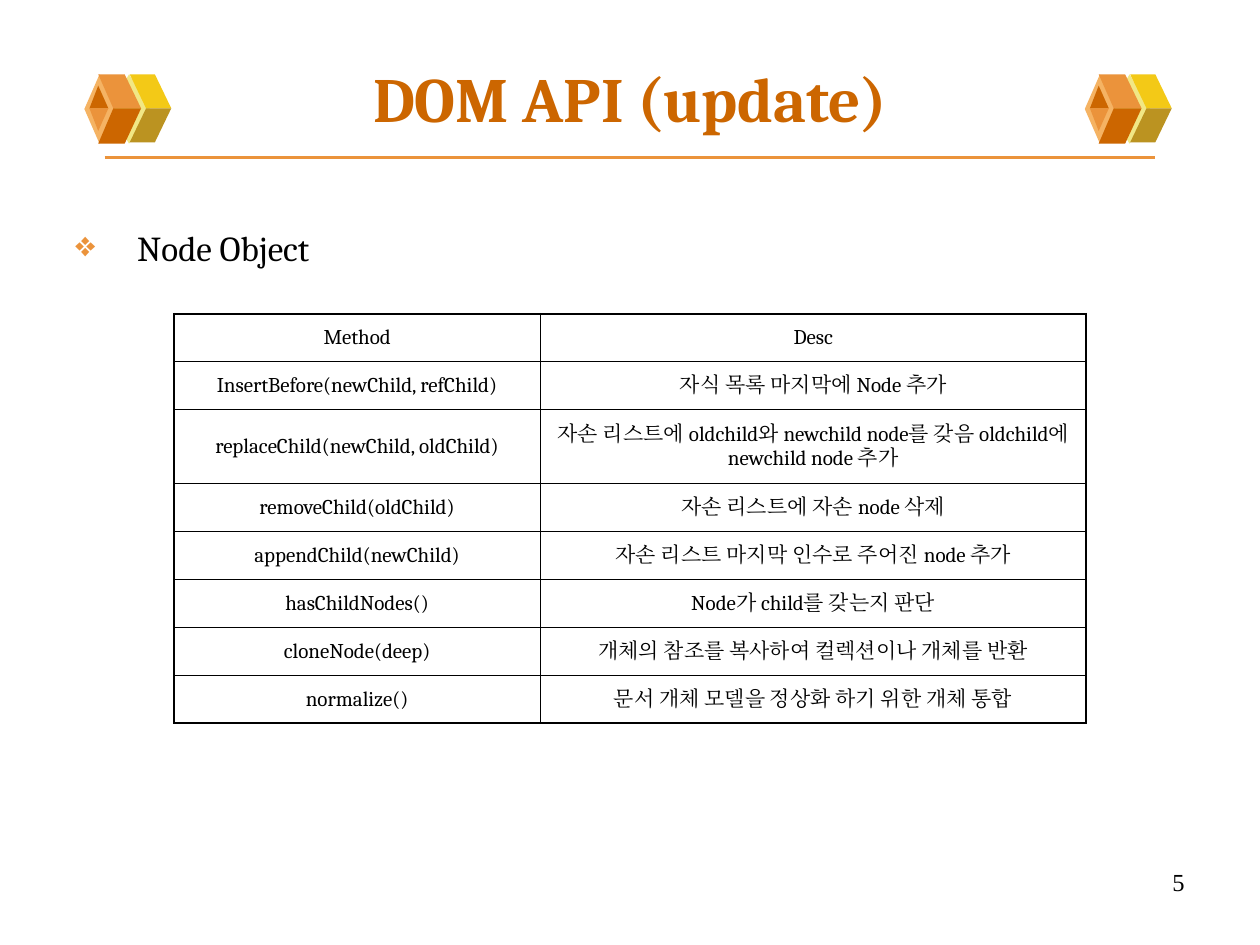
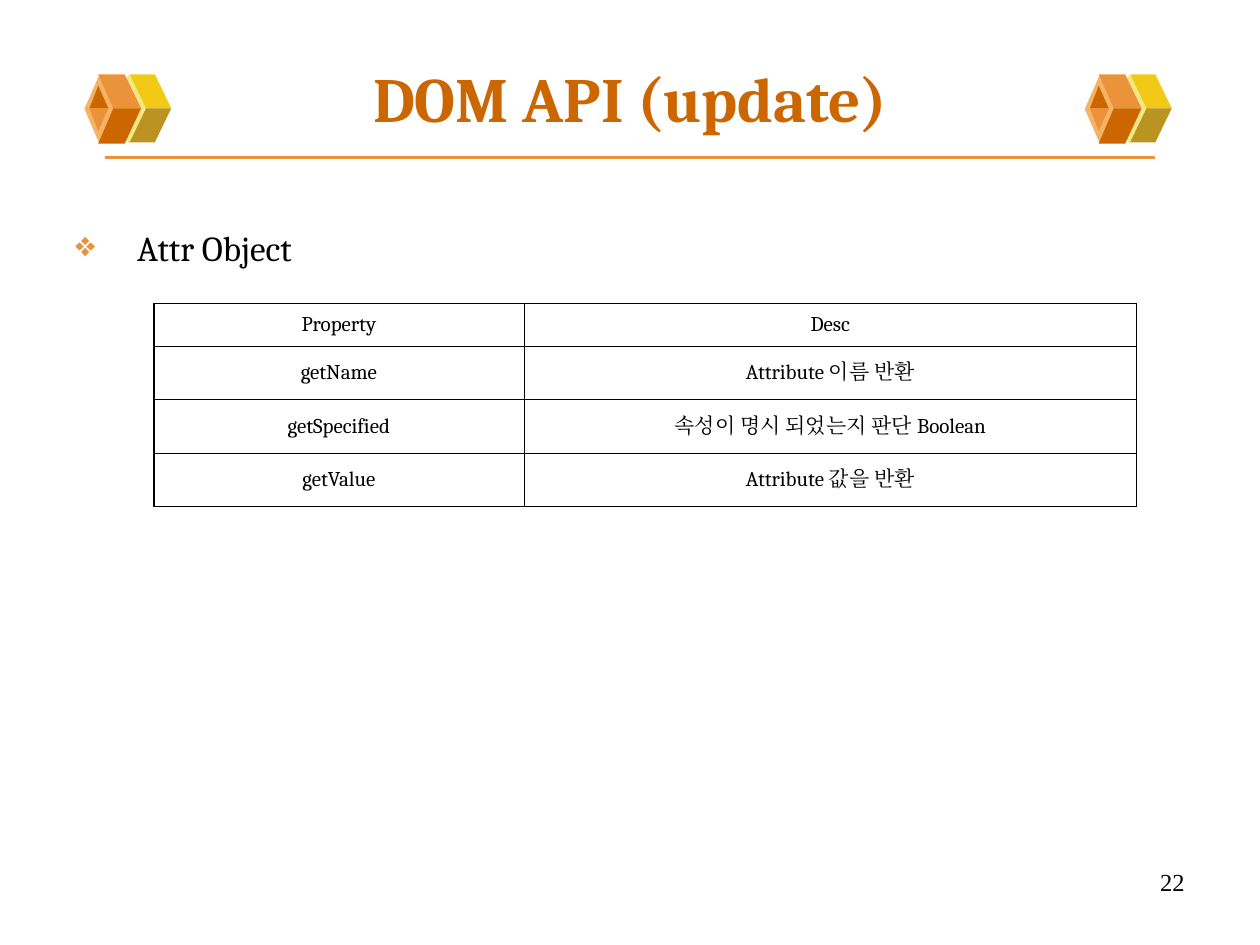
from dataclasses import dataclass
from typing import NamedTuple

from lxml.etree import SubElement
from pptx import Presentation
from pptx.dml.color import RGBColor
from pptx.enum.shapes import MSO_CONNECTOR, MSO_SHAPE
from pptx.enum.text import MSO_ANCHOR, PP_ALIGN
from pptx.oxml import parse_xml
from pptx.oxml.ns import nsdecls, qn
from pptx.slide import Slide
from pptx.util import Inches, Pt


@dataclass(frozen=True)
class Theme:
    white: str = "FFFFFF"
    off_white: str = "FEFEFE"
    ink: str = "000000"
    rust: str = "CC6600"
    orange: str = "EB933B"
    peach: str = "F5B363"
    cream: str = "F1E785"
    yellow: str = "F3C917"
    olive: str = "BB9321"
    serif: str = "Cambria"
    number_font: str = "Times New Roman"
    title_size: float = 36
    heading_size: float = 20
    number_size: float = 14
    cell_size: float = 12
    rule_width: float = 2.25
    outer_border: float = 1.08
    inner_border: float = 0.45


THEME = Theme()


class Box(NamedTuple):
    left: float
    top: float
    width: float
    height: float

    def lengths(self) -> list[int]:
        return [Inches(side) for side in self]


class TextStyle(NamedTuple):
    size: float
    font: str = THEME.serif
    color: str = THEME.ink
    bold: bool = False
    align: PP_ALIGN = PP_ALIGN.LEFT
    anchor: MSO_ANCHOR = MSO_ANCHOR.TOP
    space_before: float = 0


class Facet(NamedTuple):
    """One flat side of a cube; points are measured from the cube's corner."""
    color: str
    points: list[tuple[float, float]]


class MethodTable(NamedTuple):
    left: float
    top: float
    columns: list[float]
    row_heights: list[float]
    rows: list[tuple[str, str]]


class ApiPage(NamedTuple):
    heading: str
    number: str
    table: MethodTable


TITLE = TextStyle(THEME.title_size, color=THEME.rust, bold=True,
                  align=PP_ALIGN.CENTER, anchor=MSO_ANCHOR.MIDDLE)
HEADING = TextStyle(THEME.heading_size, space_before=5)
CELL = TextStyle(THEME.cell_size, align=PP_ALIGN.CENTER,
                 anchor=MSO_ANCHOR.MIDDLE, space_before=3)
PAGE_NUMBER = TextStyle(THEME.number_size, THEME.number_font, align=PP_ALIGN.RIGHT)

TITLE_BOX = Box(0.5, 0.3, 9, 0.95)
BODY_BOX = Box(0.5, 1.75, 8.99, 4.95)
NUMBER_BOX = Box(7.17, 6.83, 2.33, 0.3)
HEADING_INDENT = 0.49

# Cube ornament: a right block and a left block, each a diamond with facets
CUBE_TOP = 0.59
CUBE_LEFTS = (0.67, 8.61)
RIGHT_BLOCK = (Box(0.19, 0, 0.33, 0.55), THEME.cream, [
    Facet(THEME.yellow, [(0.49, 0.27), (0.69, 0.27), (0.56, 0), (0.36, 0)]),
    Facet(THEME.olive, [(0.49, 0.27), (0.69, 0.27), (0.56, 0.54), (0.36, 0.54)]),
])
LEFT_BLOCK = (Box(0, 0, 0.24, 0.55), THEME.peach, [
    Facet(THEME.orange, [(0.23, 0.27), (0.45, 0.27), (0.32, 0), (0.11, 0)]),
    Facet(THEME.rust, [(0.23, 0.27), (0.45, 0.27), (0.32, 0.55), (0.11, 0.55)]),
    Facet(THEME.rust, [(0.11, 0.09), (0.04, 0.27), (0.19, 0.27)]),
    Facet(THEME.orange, [(0.11, 0.45), (0.04, 0.27), (0.19, 0.27)]),
])

PAGES = [
    ApiPage("Node Object", "5", MethodTable(
        1.38, 2.49, [2.91, 4.33], [0.38, 0.38, 0.59] + [0.38] * 5, [
            ("Method", "Desc"),
            ("InsertBefore(newChild, refChild)", "자식 목록 마지막에 Node 추가"),
            ("replaceChild(newChild, oldChild)",
             "자손 리스트에 oldchild와 newchild node를 갖음 oldchild에 newchild node 추가"),
            ("removeChild(oldChild)", "자손 리스트에 자손 node 삭제"),
            ("appendChild(newChild)", "자손 리스트 마지막 인수로 주어진 node 추가"),
            ("hasChildNodes()", "Node가 child를 갖는지 판단"),
            ("cloneNode(deep)", "개체의 참조를 복사하여 컬렉션이나 개체를 반환"),
            ("normalize()", "문서 개체 모델을 정상화 하기 위한 개체 통합"),
        ])),
    ApiPage("Attr Object", "22", MethodTable(
        1.22, 2.41, [2.94, 4.86], [0.34, 0.42, 0.43, 0.42], [
            ("Property", "Desc"),
            ("getName", "Attribute 이름 반환"),
            ("getSpecified", "속성이 명시 되었는지 판단 Boolean"),
            ("getValue", "Attribute 값을 반환"),
        ])),
]


def rgb(color: str) -> RGBColor:
    return RGBColor.from_string(color)


def write(frame, text: str, style: TextStyle):
    """Put one styled paragraph into a text frame and return it."""
    paragraph = frame.paragraphs[0]
    paragraph.alignment = style.align
    paragraph.space_before = Pt(style.space_before)
    run = paragraph.add_run()
    run.text = text
    formats = {"size": Pt(style.size), "bold": style.bold, "name": style.font}
    for attribute, value in formats.items():
        setattr(run.font, attribute, value)
    run.font.color.rgb = rgb(style.color)
    SubElement(run.font._element, qn("a:ea"), typeface=style.font)
    return paragraph


def add_text(slide: Slide, box: Box, text: str, style: TextStyle):
    frame = slide.shapes.add_textbox(*box.lengths()).text_frame
    formats = {"word_wrap": True, "vertical_anchor": style.anchor}
    for attribute, value in formats.items():
        setattr(frame, attribute, value)
    return write(frame, text, style)


def paint(shape, color: str) -> None:
    shape.shadow.inherit = False
    shape.fill.solid()
    shape.fill.fore_color.rgb = rgb(color)
    shape.line.fill.background()


def add_cube(slide: Slide, left: float) -> None:
    for diamond, color, facets in (RIGHT_BLOCK, LEFT_BLOCK):
        place = diamond._replace(left=left + diamond.left, top=CUBE_TOP + diamond.top)
        paint(slide.shapes.add_shape(MSO_SHAPE.DIAMOND, *place.lengths()), color)
        for facet in facets:
            start, *others = [(Inches(left + x), Inches(CUBE_TOP + y))
                              for x, y in facet.points]
            outline = slide.shapes.build_freeform(*start)
            outline.add_line_segments(others, close=True)
            paint(outline.convert_to_shape(), facet.color)


def add_frame(slide: Slide) -> None:
    """Background, title rule, cubes and title shared by all pages."""
    fill = slide.background.fill
    fill.gradient()
    fill.gradient_angle = 270
    for stop, color in zip(fill.gradient_stops, (THEME.white, THEME.off_white)):
        stop.color.rgb = rgb(color)
    rule = slide.shapes.add_connector(MSO_CONNECTOR.STRAIGHT, Inches(0.83),
                                      Inches(1.25), Inches(9.17), Inches(1.25))
    rule.line.width = Pt(THEME.rule_width)
    rule.line.color.rgb = rgb(THEME.orange)
    SubElement(rule._element.spPr, qn("a:effectLst"))
    for left in CUBE_LEFTS:
        add_cube(slide, left)
    add_text(slide, TITLE_BOX, "DOM API (update)", TITLE)


def add_heading(slide: Slide, text: str) -> None:
    properties = add_text(slide, BODY_BOX, text, HEADING)._p.get_or_add_pPr()
    properties.set("marL", str(Inches(HEADING_INDENT)))
    properties.set("indent", str(-Inches(HEADING_INDENT)))
    bullet_color = SubElement(properties, qn("a:buClr"))
    SubElement(bullet_color, qn("a:srgbClr"), val=THEME.orange)
    SubElement(properties, qn("a:buChar"), char="❖")


def add_borders(cell, outer_sides: dict[str, bool]) -> None:
    for index, (side, is_outer) in enumerate(outer_sides.items()):
        width = Pt(THEME.outer_border if is_outer else THEME.inner_border)
        cell._tc.get_or_add_tcPr().insert(index, parse_xml(
            f'<a:ln{side} {nsdecls("a")} w="{width}"><a:solidFill>'
            f'<a:srgbClr val="{THEME.ink}"/></a:solidFill></a:ln{side}>'))


def add_method_table(slide: Slide, content: MethodTable) -> None:
    box = Box(content.left, content.top, sum(content.columns), sum(content.row_heights))
    last_row, last_column = len(content.rows) - 1, len(content.columns) - 1
    table = slide.shapes.add_table(last_row + 1, last_column + 1, *box.lengths()).table
    table.first_row = table.horz_banding = False
    for column, width in zip(table.columns, content.columns):
        column.width = Inches(width)
    for row, height in zip(table.rows, content.row_heights):
        row.height = Inches(height)
    for r, texts in enumerate(content.rows):
        for c, text in enumerate(texts):
            cell = table.cell(r, c)
            cell.fill.background()
            cell.vertical_anchor = CELL.anchor
            write(cell.text_frame, text, CELL)
            add_borders(cell, {"L": c == 0, "R": c == last_column,
                               "T": r == 0, "B": r == last_row})


def main() -> None:
    deck = Presentation()
    deck.slide_width, deck.slide_height = Inches(10), Inches(7.5)
    for page in PAGES:
        slide = deck.slides.add_slide(deck.slide_layouts[6])
        add_frame(slide)
        add_heading(slide, page.heading)
        add_method_table(slide, page.table)
        add_text(slide, NUMBER_BOX, page.number, PAGE_NUMBER)
    deck.save("out.pptx")


if __name__ == "__main__":
    main()
